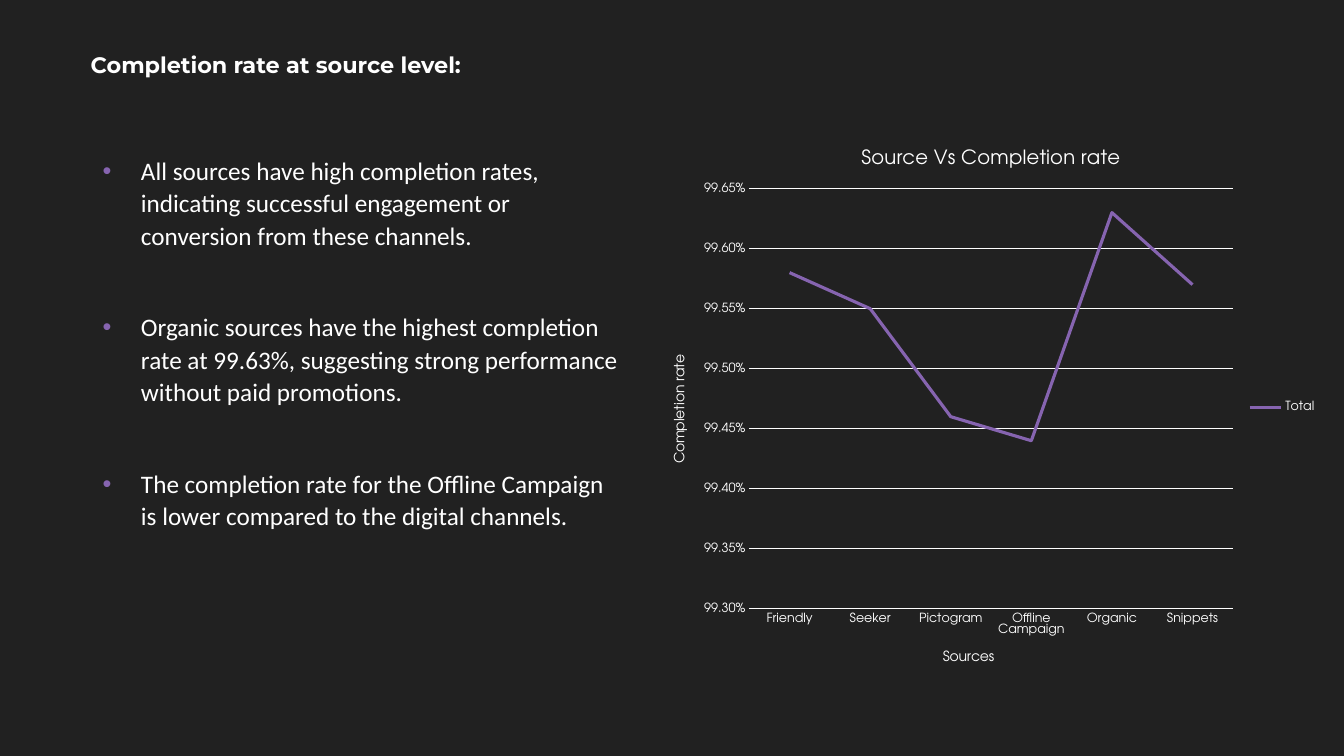
from lxml import etree
from pptx import Presentation
from pptx.chart.data import CategoryChartData
from pptx.dml.color import RGBColor
from pptx.enum.chart import XL_CHART_TYPE, XL_LEGEND_POSITION, XL_TICK_MARK
from pptx.enum.text import MSO_ANCHOR, PP_ALIGN
from pptx.oxml import parse_xml
from pptx.oxml.ns import nsdecls, qn
from pptx.util import Inches, Pt

LINE = XL_CHART_TYPE.LINE
RIGHT = XL_LEGEND_POSITION.RIGHT
NO_TICK = XL_TICK_MARK.NONE
MIDDLE = MSO_ANCHOR.MIDDLE
LEFT = PP_ALIGN.LEFT

COLORS = {"back": "212121", "text": "FFFFFF", "accent": "8664B0"}
HEAD_FONT, BODY_FONT, CHART_FONT = "Montserrat", "Calibri", "TeX Gyre Adventor"
POINTS = [
    "All sources have high completion rates, indicating successful engagement or conversion from these channels.",
    "Organic sources have the highest completion rate at 99.63%, suggesting strong performance without paid promotions.",
    "The completion rate for the Offline Campaign is lower compared to the digital channels.",
]
RATES = {
    "Friendly": 0.9958,
    "Seeker": 0.9955,
    "Pictogram": 0.9946,
    "Offline Campaign": 0.9944,
    "Organic": 0.9963,
    "Snippets": 0.9957,
}


def color(name):
    """Return a palette colour."""
    return RGBColor.from_string(COLORS[name])


def style(font, face, size, bold=False):
    """Format a font in the text colour."""
    font.name, font.size, font.bold = face, Pt(size), bold
    font.color.rgb = color("text")


def write(para, text, face=BODY_FONT, size=18, bold=False, line=1.0, after=0):
    """Write one formatted paragraph."""
    run = para.add_run()
    run.text = text
    style(run.font, face, size, bold)
    para.line_spacing, para.space_before, para.space_after = line, Pt(0), Pt(after)


def place(shape, box):
    """Move a shape into a box given in inches."""
    shape.left, shape.top, shape.width, shape.height = map(Inches, box)


def bullet(para, indent):
    """Give a paragraph a coloured bullet and a hanging indent."""
    props = para._p.get_or_add_pPr()
    props.set("marL", str(Inches(indent)))
    props.set("indent", str(-Inches(indent)))
    tint = etree.SubElement(props, qn("a:buClr"))
    etree.SubElement(tint, qn("a:srgbClr"), val=COLORS["accent"])
    etree.SubElement(props, qn("a:buFont"), typeface="Arial")
    etree.SubElement(props, qn("a:buChar"), char="•")


def add_title(slide, box):
    """Fill the title placeholder."""
    title = slide.shapes.title
    place(title, box)
    frame = title.text_frame
    frame.vertical_anchor = MIDDLE
    para = frame.paragraphs[0]
    para.alignment = LEFT
    write(para, "Completion rate at source level:", face=HEAD_FONT, size=16, bold=True)


def add_points(slide, box):
    """Add the bulleted findings."""
    frame = slide.shapes.add_textbox(*map(Inches, box)).text_frame
    frame.word_wrap = True
    for i, point in enumerate(POINTS):
        para = frame.paragraphs[0] if i == 0 else frame.add_paragraph()
        write(para, point, line=1.07, after=42.5)
        bullet(para, 0.38)


def set_plot(chart, x, y, w, h):
    """Fix the inner plot area as fractions of the chart."""
    area = chart._chartSpace.chart.plotArea
    for old in area.findall(qn("c:layout")):
        area.remove(old)
    parts = "".join(f'<c:{k} val="{v}"/>' for k, v in zip("xywh", (x, y, w, h)))
    area.insert(0, parse_xml(
        f'<c:layout {nsdecls("c")}><c:manualLayout><c:layoutTarget val="inner"/>'
        f'<c:xMode val="edge"/><c:yMode val="edge"/>{parts}</c:manualLayout></c:layout>'))


def set_axis(axis, title):
    """Format an axis and its title."""
    axis.major_tick_mark = axis.minor_tick_mark = NO_TICK
    style(axis.tick_labels.font, CHART_FONT, 9)
    write(axis.axis_title.text_frame.paragraphs[0], title, face=CHART_FONT, size=10)


def add_rates(slide, box):
    """Add the completion rate line chart."""
    data = CategoryChartData(number_format="0.00%")
    data.categories = list(RATES)
    data.add_series("Total", list(RATES.values()))
    chart = slide.shapes.add_chart(LINE, *map(Inches, box), data).chart
    style(chart.font, CHART_FONT, 10)
    write(chart.chart_title.text_frame.paragraphs[0], "Source Vs Completion rate",
          face=CHART_FONT, size=14)
    chart.has_legend = True
    chart.legend.position = RIGHT
    chart.legend.include_in_layout = False
    style(chart.legend.font, CHART_FONT, 9)

    cats, vals = chart.category_axis, chart.value_axis
    set_axis(cats, "Sources")
    set_axis(vals, "Completion rate")
    vals.axis_title.text_frame._txBody.bodyPr.set("rot", "-5400000")
    vals.minimum_scale, vals.maximum_scale, vals.major_unit = 0.993, 0.9965, 0.0005
    vals.tick_labels.number_format = "0.00%"
    vals.tick_labels.number_format_is_linked = False
    vals.format.line.fill.background()
    for line in (cats.format.line, vals.major_gridlines.format.line):
        line.color.rgb = color("text")
        line.width = Pt(0.75)

    series = chart.plots[0].series[0]
    series.smooth = False
    series.format.line.color.rgb = color("accent")
    series.format.line.width = Pt(2.25)
    set_plot(chart, 0.14, 0.11, 0.72, 0.75)


def main():
    """Build and save the slide."""
    deck = Presentation()
    deck.slide_width, deck.slide_height = Inches(13.33), Inches(7.5)
    slide = deck.slides.add_slide(deck.slide_layouts[5])
    fill = slide.background.fill
    fill.solid()
    fill.fore_color.rgb = color("back")
    add_title(slide, (0.8, 0.35, 7.79, 0.59))
    add_points(slide, (0.92, 1.47, 5.31, 5.15))
    add_rates(slide, (6.5, 1.26, 6.66, 5.56))
    deck.save("out.pptx")


if __name__ == "__main__":
    main()
